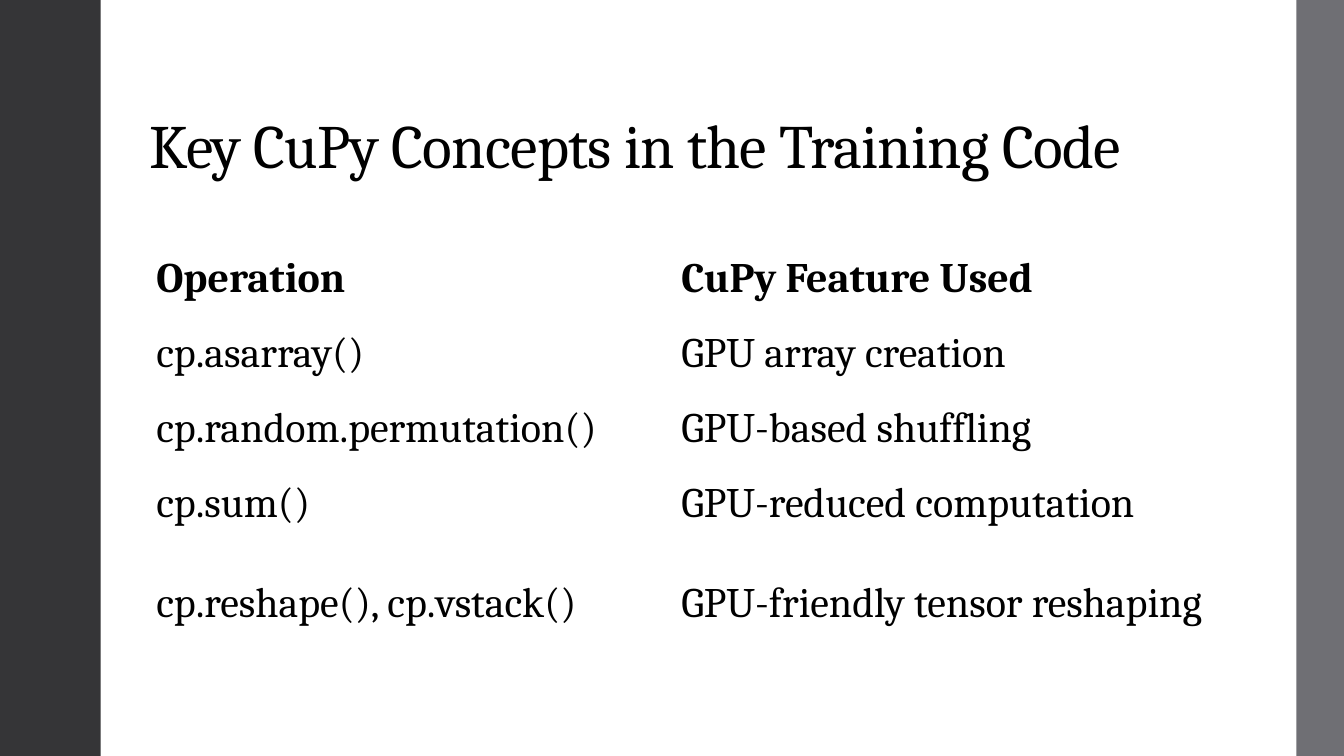
from pptx import Presentation
from pptx.dml.color import RGBColor
from pptx.enum.shapes import MSO_SHAPE
from pptx.enum.text import MSO_ANCHOR, MSO_AUTO_SIZE, PP_ALIGN
from pptx.oxml.ns import qn
from pptx.util import Cm, Pt

RECTANGLE = MSO_SHAPE.RECTANGLE
MIDDLE, BOTTOM = MSO_ANCHOR.MIDDLE, MSO_ANCHOR.BOTTOM
NO_AUTOFIT = MSO_AUTO_SIZE.NONE
LEFT = PP_ALIGN.LEFT
TITLE_ONLY = 5
SLIDE_WIDTH, SLIDE_HEIGHT = 33.87, 19.05
CONTENT_LEFT, CONTENT_WIDTH = 3.51, 27.38

OPERATIONS = [
    ("Operation", "CuPy Feature Used"),
    ("cp.asarray()", "GPU array creation"),
    ("cp.random.permutation()", "GPU-based shuffling"),
    ("cp.sum()", "GPU-reduced computation"),
    ("cp.reshape(), cp.vstack()", "GPU-friendly tensor reshaping"),
]


def color(hex_string):
    return RGBColor.from_string(hex_string)


class SlideBuilder:
    """Holds the text style and the slide being built."""

    def __init__(self, slide, font_name="Cambria", text_color="000000"):
        self.slide = slide
        self.font_name = font_name
        self.text_color = text_color

    def style(self, paragraph, size, bold=False):
        paragraph.alignment = LEFT
        font = paragraph.font
        font.name, font.size, font.bold = self.font_name, Pt(size), bold
        font.color.rgb = color(self.text_color)

    def title(self, text, left, top, width, height):
        heading = self.slide.shapes.title
        heading.left, heading.top = Cm(left), Cm(top)
        heading.width, heading.height = Cm(width), Cm(height)
        frame = heading.text_frame
        frame.text = text
        frame.word_wrap = True
        frame.auto_size = NO_AUTOFIT
        frame.vertical_anchor = BOTTOM
        paragraph = frame.paragraphs[0]
        paragraph.line_spacing = 0.9
        self.style(paragraph, 44)
        paragraph._p.pPr.find(qn("a:defRPr")).set("spc", "-50")

    def side_bar(self, left, width, fill):
        bar = self.slide.shapes.add_shape(
            RECTANGLE, Cm(left), Cm(0), Cm(width), Cm(SLIDE_HEIGHT))
        bar.shadow.inherit = False
        bar.fill.solid()
        bar.fill.fore_color.rgb = color(fill)
        bar.line.fill.background()

    def table(self, rows, left, top, widths, heights):
        table = self.slide.shapes.add_table(
            len(rows), len(widths), Cm(left), Cm(top),
            Cm(sum(widths)), Cm(sum(heights))).table
        table.first_row = table.horz_banding = False
        for column, width in zip(table.columns, widths):
            column.width = Cm(width)
        for row_index, (row, height) in enumerate(zip(rows, heights)):
            table.rows[row_index].height = Cm(height)
            for column_index, text in enumerate(row):
                cell = table.cell(row_index, column_index)
                cell.text = text
                cell.fill.background()
                cell.vertical_anchor = MIDDLE
                cell.margin_left = cell.margin_right = Cm(0.43)
                cell.margin_top = cell.margin_bottom = Cm(0.21)
                self.style(cell.text_frame.paragraphs[0], 30, row_index == 0)


def main():
    presentation = Presentation()
    presentation.slide_width = Cm(SLIDE_WIDTH)
    presentation.slide_height = Cm(SLIDE_HEIGHT)
    layout = presentation.slide_layouts[TITLE_ONLY]
    builder = SlideBuilder(presentation.slides.add_slide(layout))
    builder.title("Key CuPy Concepts in the Training Code",
                  CONTENT_LEFT, 1.02, CONTENT_WIDTH, 3.68)
    builder.side_bar(0, 2.54, "353537")
    builder.side_bar(32.67, SLIDE_WIDTH - 32.67, "6F6F74")
    builder.table(OPERATIONS, CONTENT_LEFT, 6.07,
                  widths=[13.23, 14.15], heights=[1.89] * 4 + [3.17])
    presentation.save("out.pptx")


if __name__ == "__main__":
    main()
